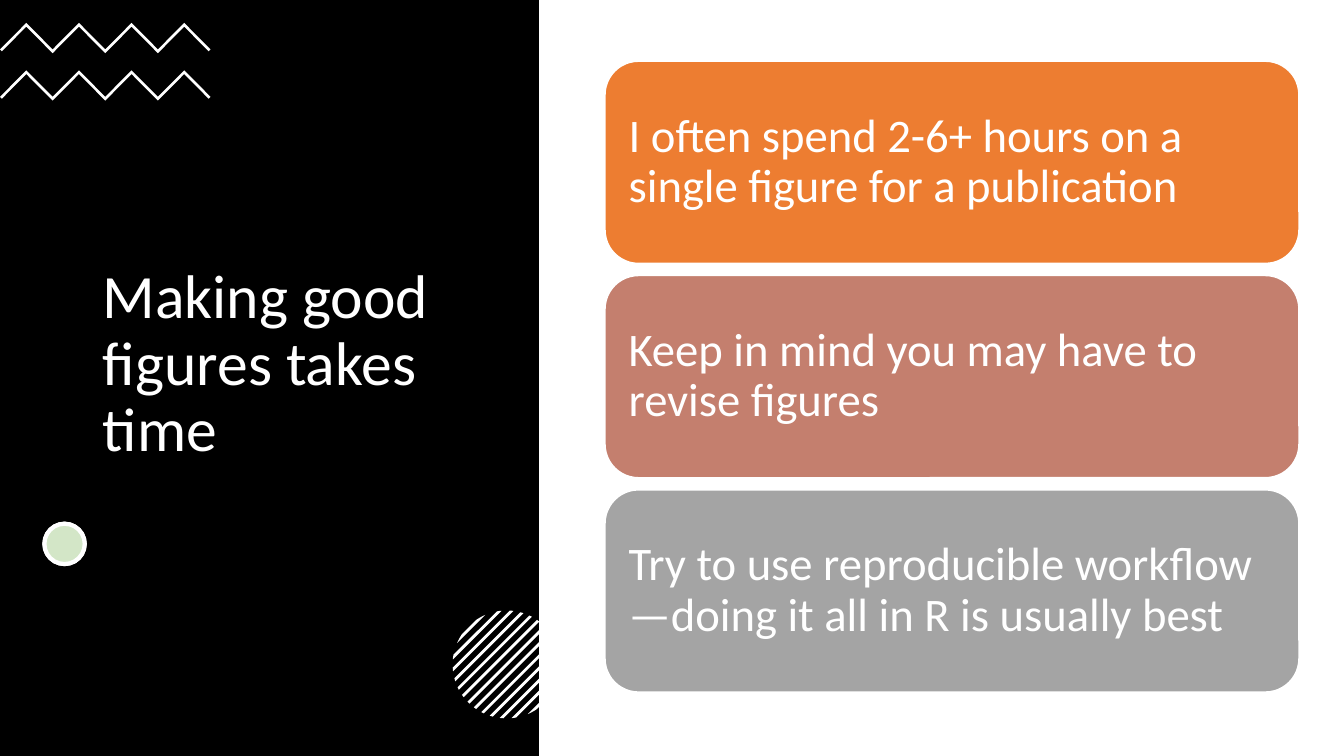
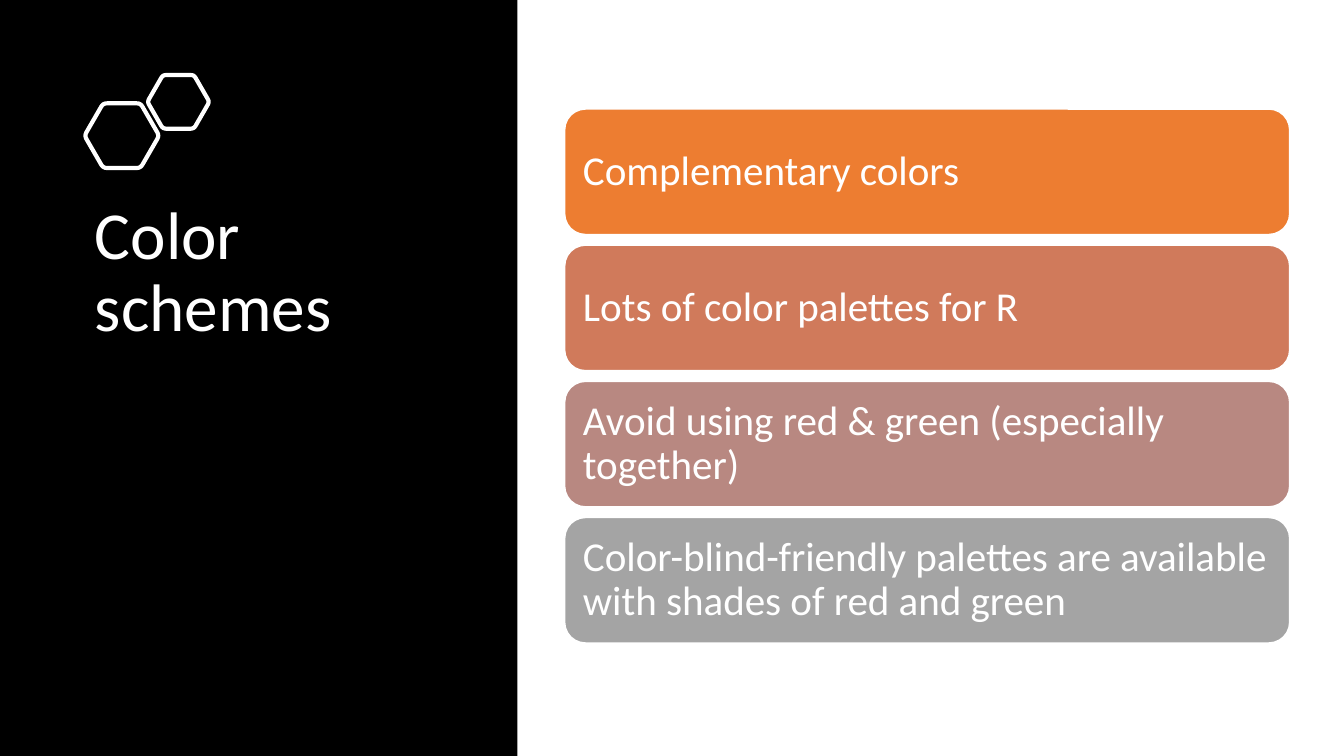
import math
from dataclasses import dataclass

import pptx
import pptx.dml.color
import pptx.enum.shapes
import pptx.enum.text
import pptx.oxml
import pptx.oxml.ns
import pptx.util

Pt = pptx.util.Pt
SHAPE = pptx.enum.shapes.MSO_SHAPE
ANCHOR = pptx.enum.text.MSO_ANCHOR


@dataclass(frozen=True)
class Theme:
    font: str = "Calibri"
    band: str = "000000"
    light: str = "FFFFFF"
    dot: str = "70AD47"
    dot_alpha: int = 30
    orange: str = "ED7D31"
    terracotta: str = "D07A5B"
    clay: str = "C47F6E"
    rose: str = "B88881"
    grey: str = "A4A4A4"
    title_size: float = 33
    short_title_size: float = 36
    card_size: float = 25
    small_card_size: float = 22
    line_spacing: float = 0.9
    card_line: float = 1
    ornament_line: float = 2.25


THEME = Theme()
SLIDE_W, SLIDE_H = 720, 405


def rgb(value):
    return pptx.dml.color.RGBColor.from_string(value)


def paint(sp, fill=None, line=None, width=1):
    sp.shadow.inherit = False
    if fill:
        sp.fill.solid()
        sp.fill.fore_color.rgb = rgb(fill)
    else:
        sp.fill.background()
    if line:
        sp.line.color.rgb = rgb(line)
        sp.line.width = Pt(width)
    else:
        sp.line.fill.background()


def add_preset(s, kind, box, **look):
    sp = s.shapes.add_shape(kind, *map(Pt, box))
    paint(sp, **look)
    return sp


def add_outline(s, points, **look):
    """Closed polygon through points given in points."""
    start, *rest = [(Pt(x), Pt(y)) for x, y in points]
    builder = s.shapes.build_freeform(*start)
    builder.add_line_segments(rest, close=True)
    sp = builder.convert_to_shape()
    paint(sp, **look)
    return sp


def write(sp, text, size, anchor, inset_x, inset_y):
    tf = sp.text_frame
    tf.text = text
    tf.word_wrap = True
    tf.auto_size = pptx.enum.text.MSO_AUTO_SIZE.NONE
    tf.vertical_anchor = anchor
    tf.margin_left = tf.margin_right = Pt(inset_x)
    tf.margin_top = tf.margin_bottom = Pt(inset_y)
    p = tf.paragraphs[0]
    p.alignment = pptx.enum.text.PP_ALIGN.LEFT
    p.line_spacing = THEME.line_spacing
    r = p.runs[0]
    r.font.name = THEME.font
    r.font.size = Pt(size)
    r.font.color.rgb = rgb(THEME.light)


# Black band on the left, with the title on it
def add_title_band(s, band_width, title, box, size, anchor):
    band = add_preset(s, SHAPE.RECTANGLE, (0, 0, band_width, SLIDE_H), fill=THEME.band)
    sp = s.shapes.title
    sp.element.addprevious(band.element)
    sp.left, sp.top, sp.width, sp.height = map(Pt, box)
    write(sp, title, size, anchor, 5.4, 2.7)


# Column of equal rounded cards; gaps and insets follow the type size
def add_cards(s, box, cards, size):
    left, top, width, height = box
    gap = size / 4
    card_h = (height - gap * (len(cards) - 1)) / len(cards)
    for i, (text, fill) in enumerate(cards):
        card = (left, top + i * (card_h + gap), width, card_h)
        sp = add_preset(s, SHAPE.ROUNDED_RECTANGLE, card,
                        fill=fill, line=THEME.light, width=THEME.card_line)
        write(sp, text, size, ANCHOR.MIDDLE, 0.3 * size, 0.3 * size)


# Zigzag ribbon with four peaks
def add_zigzag(s, left, top, step=14.1, rise=14.2, thickness=2):
    upper = [(left + i * step, top + (0 if i % 2 else rise)) for i in range(9)]
    lower = [(x, y + thickness) for x, y in upper[1:-1]]
    (x0, y0), (x1, y1) = upper[0], upper[-1]
    half = thickness / 2
    ends = [(x0 + half, y0 + half)], [(x1 - half, y1 + half)]
    add_outline(s, upper + ends[1] + lower[::-1] + ends[0], fill=THEME.light)


# Pale green dot on white
def add_dot(s, box):
    look = dict(line=THEME.light, width=THEME.ornament_line)
    add_preset(s, SHAPE.OVAL, box, fill=THEME.light, **look)
    tint = add_preset(s, SHAPE.OVAL, box, fill=THEME.dot, **look)
    color = tint.element.spPr.find(".//" + pptx.oxml.ns.qn("a:srgbClr"))
    color.append(pptx.oxml.parse_xml(
        f'<a:alpha {pptx.oxml.ns.nsdecls("a")} val="{THEME.dot_alpha * 1000}"/>'))


# Disc cut into diagonal stripes
def add_striped_disc(s, cx, cy, radius, stripes=13, pitch=4.6, thickness=1.5):
    def rim(across, side):
        along = side * math.sqrt(radius ** 2 - across ** 2)
        return (cx + (across + along) / math.sqrt(2),
                cy + (across - along) / math.sqrt(2))

    for k in range(stripes):
        middle = (k - stripes // 2) * pitch
        cuts = [middle + thickness * (j / 4 - 0.5) for j in range(5)]
        points = [rim(c, 1) for c in cuts] + [rim(c, -1) for c in cuts[::-1]]
        add_outline(s, points, fill=THEME.light)


# Hexagon outline with softened corners
def add_hexagon(s, cx, cy, radius, cut=0.1):
    corners = [(cx + radius * math.cos(math.radians(a)),
                cy + radius * math.sin(math.radians(a))) for a in range(0, 360, 60)]
    points = []
    for i, corner in enumerate(corners):
        before, after = corners[i - 1], corners[(i + 1) % 6]
        for t in (0, 0.25, 0.5, 0.75, 1):
            points.append(tuple(
                c + cut * ((1 - t) ** 2 * (b - c) + t ** 2 * (a - c))
                for b, c, a in zip(before, corner, after)))
    add_outline(s, points, line=THEME.light, width=THEME.ornament_line)


def new_slide(prs):
    return prs.slides.add_slide(prs.slide_layouts[5])


def build_time_slide(prs):
    s = new_slide(prs)
    add_title_band(s, 288.7, "Making good figures takes time",
                   (49.7, 70.5, 188.6, 250.6), THEME.title_size, ANCHOR.MIDDLE)
    for top in (12.3, 37.7):
        add_zigzag(s, 0, top)
    add_dot(s, (23.8, 280.6, 21.6, 21.6))
    add_striped_disc(s, 271.4, 356, 28.9)
    add_cards(s, (324, 32.7, 372, 338.2), [
        ("I often spend 2-6+ hours on a single figure for a publication", THEME.orange),
        ("Keep in mind you may have to revise figures", THEME.clay),
        ("Try to use reproducible workflow—doing it all in R is usually best", THEME.grey),
    ], THEME.card_size)


def build_color_slide(prs):
    s = new_slide(prs)
    add_title_band(s, 277.2, "Color schemes",
                   (45.4, 105.1, 211.7, 188.6), THEME.short_title_size, ANCHOR.TOP)
    add_hexagon(s, 65.3, 72.7, 20)
    add_hexagon(s, 95.6, 54.6, 16.6)
    add_cards(s, (302.4, 58.3, 388.6, 286.3), [
        ("Complementary colors", THEME.orange),
        ("Lots of color palettes for R", THEME.terracotta),
        ("Avoid using red & green (especially together)", THEME.rose),
        ("Color-blind-friendly palettes are available with shades of red and green",
         THEME.grey),
    ], THEME.small_card_size)


def main():
    prs = pptx.Presentation()
    prs.slide_width, prs.slide_height = Pt(SLIDE_W), Pt(SLIDE_H)
    build_time_slide(prs)
    build_color_slide(prs)
    prs.save("out.pptx")


if __name__ == "__main__":
    main()
